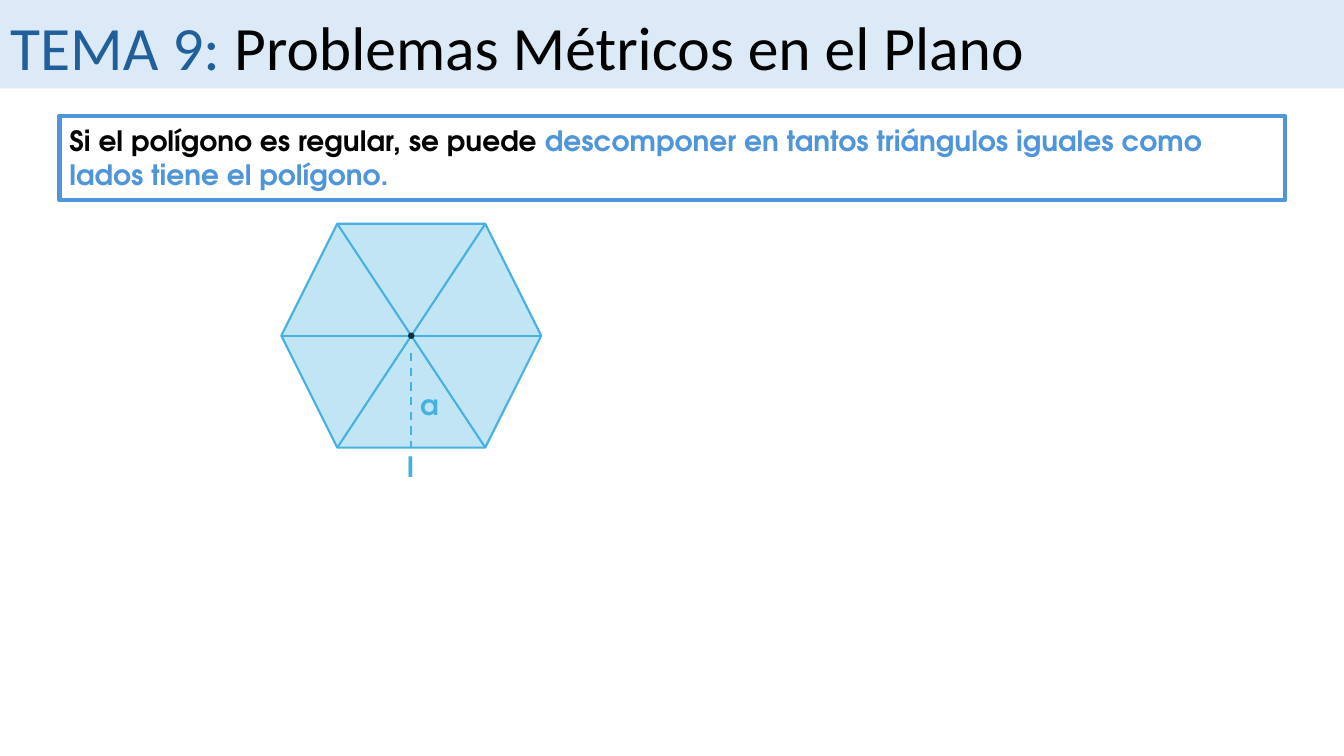
from pptx import Presentation
from pptx import util as u
from pptx.dml.color import RGBColor
from pptx.enum import dml, shapes, text
from pptx.oxml.ns import qn
from lxml import etree

BLACK = RGBColor(0x00, 0x00, 0x00)
NAVY = RGBColor(0x21, 0x5F, 0x9A)
BLUE = RGBColor(0x4E, 0x95, 0xD9)
SKY = RGBColor(0x46, 0xB1, 0xE1)
PALE_SKY = RGBColor(0xC1, 0xE5, 0xF5)
BAND = RGBColor(0xDC, 0xEA, 0xF7)
DARK = RGBColor(0x0B, 0x30, 0x41)
BODY_FONT = "TeX Gyre Adventor"

# Hexagon geometry in cm
LEFT, TOP, WIDTH, HEIGHT = 7.09, 5.64, 6.55, 5.64
RIGHT, BOTTOM = LEFT + WIDTH, TOP + HEIGHT
MID_X, MID_Y = LEFT + WIDTH / 2, TOP + HEIGHT / 2
INSET = HEIGHT / 4


def add_shape(slide, kind, box, fill=None, line=None, width=1.5):
    sp = slide.shapes.add_shape(kind, *map(u.Cm, box))
    sp.shadow.inherit = False
    if fill is None:
        sp.fill.background()
    else:
        sp.fill.solid()
        sp.fill.fore_color.rgb = fill
    if line is None:
        sp.line.fill.background()
    else:
        sp.line.color.rgb = line
        sp.line.width = u.Pt(width)
    return sp


def add_line(slide, x1, y1, x2, y2, dash=None):
    line = slide.shapes.add_connector(
        shapes.MSO_CONNECTOR.STRAIGHT, *map(u.Cm, (x1, y1, x2, y2)))
    line.line.color.rgb = SKY
    line.line.width = u.Pt(1.5)
    if dash is not None:
        line.line.dash_style = dash
    etree.SubElement(line.element.spPr, qn("a:effectLst"))


def write_runs(tf, runs, font, size, bold):
    tf.word_wrap = True
    tf.auto_size = text.MSO_AUTO_SIZE.NONE
    tf.vertical_anchor = text.MSO_ANCHOR.TOP
    p = tf.paragraphs[0]
    p.alignment = text.PP_ALIGN.LEFT
    for words, color in runs:
        r = p.add_run()
        r.text = words
        r.font.name = font
        r.font.size = u.Pt(size)
        r.font.bold = bold
        r.font.color.rgb = color


def add_text(slide, box, runs):
    sp = slide.shapes.add_textbox(*map(u.Cm, box))
    write_runs(sp.text_frame, runs, BODY_FONT, 20, True)


def add_title(slide):
    title = slide.shapes.title
    title.left, title.top = u.Cm(0), u.Cm(0.1)
    title.width, title.height = u.Cm(32.84), u.Cm(2.13)
    write_runs(title.text_frame,
               [("TEMA 9: ", NAVY), ("Problemas Métricos en el Plano", BLACK)],
               "Calibri", 44, False)
    band = add_shape(slide, shapes.MSO_SHAPE.RECTANGLE,
                     (0, 0, 33.87, 2.23), fill=BAND)
    title.element.addprevious(band.element)


def add_hexagon(slide):
    add_shape(slide, shapes.MSO_SHAPE.HEXAGON, (LEFT, TOP, WIDTH, HEIGHT),
              fill=PALE_SKY, line=SKY)
    # Apothem and diagonals
    add_line(slide, MID_X, 8.89, MID_X, BOTTOM, dml.MSO_LINE.DASH)
    add_line(slide, LEFT + INSET, TOP, RIGHT - INSET, BOTTOM)
    add_line(slide, RIGHT - INSET, TOP, LEFT + INSET, BOTTOM)
    add_line(slide, LEFT, MID_Y, RIGHT, MID_Y)
    # Centre point
    dot = 0.16
    add_shape(slide, shapes.MSO_SHAPE.OVAL,
              (MID_X - dot / 2, MID_Y - dot / 2, dot, dot), fill=DARK)
    # Side and apothem labels
    for label, x, y in (("l", 10.01, 11.2), ("a", 10.34, 9.63)):
        add_text(slide, (x, y, 1.04, 1.11), [(label, SKY)])


def main():
    prs = Presentation()
    prs.slide_width, prs.slide_height = u.Cm(33.87), u.Cm(19.05)
    slide = prs.slides.add_slide(prs.slide_layouts[5])
    add_title(slide)

    # Framed statement
    add_shape(slide, shapes.MSO_SHAPE.RECTANGLE, (1.5, 2.92, 30.89, 2.13),
              line=BLUE, width=3)
    add_text(slide, (1.5, 3, 30.89, 1.96), [
        ("Si el polígono es regular, se puede ", BLACK),
        ("descomponer en tantos triángulos iguales como lados tiene "
         "el polígono.", BLUE)])

    add_hexagon(slide)
    prs.save("out.pptx")


if __name__ == "__main__":
    main()
